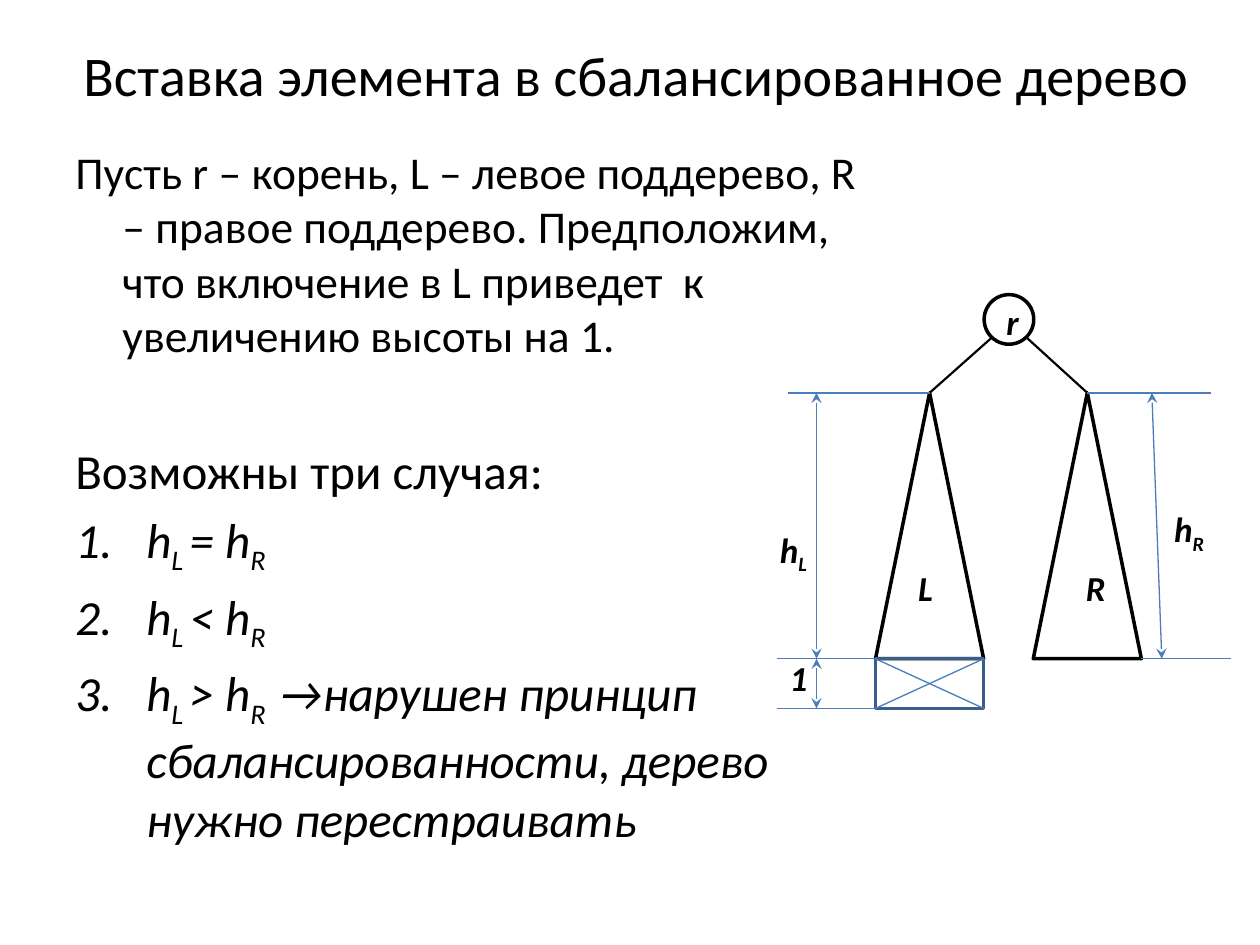
from pptx import Presentation
from pptx.dml.color import RGBColor
from pptx.enum.shapes import MSO_CONNECTOR, MSO_SHAPE
from pptx.enum.text import MSO_ANCHOR, MSO_AUTO_SIZE, PP_ALIGN
from pptx.oxml.ns import qn
from pptx.util import Cm, Pt
from lxml.etree import SubElement

COLORS = {"ink": "000000", "added": "395E89", "guide": "4A7DBA"}
LABEL = {"size": Pt(20), "bold": True, "italic": True}
CASE = {"size": Pt(28), "italic": True}

TREE_WIDTH, APEX_Y, BASE_Y, ADDED_HEIGHT = 2.18, 7.92, 13.28, 1.0
LEFT_X, RIGHT_X = 17.65, 20.83
LEFT_END, RIGHT_END = LEFT_X + TREE_WIDTH, RIGHT_X + TREE_WIDTH
LEFT_APEX, RIGHT_APEX = LEFT_X + TREE_WIDTH / 2, RIGHT_X + TREE_WIDTH / 2
ADDED_Y = BASE_Y + ADDED_HEIGHT
HEIGHT_X = 16.46


def add_runs(paragraph, pieces, style):
    """Add (text, is_subscript) pieces to a paragraph in one style."""
    for text, is_subscript in pieces:
        run = paragraph.add_run()
        run.text = text
        run.font.name = "Calibri"
        run.font.color.rgb = RGBColor.from_string(COLORS["ink"])
        for attribute, value in style.items():
            setattr(run.font, attribute, value)
        if is_subscript:
            run._r.get_or_add_rPr().set("baseline", "-25000")


def add_frame(slide, left, top, width, height, **settings):
    """Add a text box and return its frame with the given settings."""
    frame = slide.shapes.add_textbox(Cm(left), Cm(top), Cm(width), Cm(height)).text_frame
    for attribute, value in ({"word_wrap": True} | settings).items():
        setattr(frame, attribute, value)
    return frame


def add_label(slide, left, top, width, text, subscript=""):
    """Add a diagram label with an optional subscript."""
    frame = add_frame(slide, left, top, width, 1.12,
                      word_wrap=False, auto_size=MSO_AUTO_SIZE.SHAPE_TO_FIT_TEXT)
    pieces = [(text, False)] + ([(subscript, True)] if subscript else [])
    add_runs(frame.paragraphs[0], pieces, LABEL)


def add_outline(slide, preset, left, top, width, height, color="ink"):
    """Add an unfilled preset shape."""
    shape = slide.shapes.add_shape(preset, Cm(left), Cm(top), Cm(width), Cm(height))
    shape.shadow.inherit = False
    shape.fill.background()
    shape.line.color.rgb = RGBColor.from_string(COLORS[color])
    shape.line.width = Pt(2)


def add_line(slide, start, end, color="guide", weight=0.75, arrows=False):
    """Add a straight line, with arrowheads on both ends if asked."""
    line = slide.shapes.add_connector(MSO_CONNECTOR.STRAIGHT, *map(Cm, start + end))
    line.line.color.rgb = RGBColor.from_string(COLORS[color])
    line.line.width = Pt(weight)
    if arrows:
        for end_tag in ("a:headEnd", "a:tailEnd"):
            SubElement(line.line._get_or_add_ln(), qn(end_tag), type="stealth")
    SubElement(line._element.spPr, qn("a:effectLst"))


def add_paragraph(paragraph, pieces, style, indent, before=0, numbered=False):
    """Fill a paragraph with a hanging indent and an optional number."""
    add_runs(paragraph, pieces, style)
    paragraph.space_before = Pt(before)
    properties = paragraph._p.get_or_add_pPr()
    properties.set("marL", str(Cm(indent)))
    properties.set("indent", str(-Cm(indent)))
    if numbered:
        bullet_color = SubElement(properties, qn("a:buClr"))
        SubElement(bullet_color, qn("a:srgbClr"), val=COLORS["ink"])
        SubElement(properties, qn("a:buFont"), typeface="+mj-lt")
        SubElement(properties, qn("a:buAutoNum"), type="arabicPeriod")


def add_text(slide):
    """Add the title, the premise and the three cases."""
    title = add_frame(slide, 1.4, 0.58, 22.86, 1.83, vertical_anchor=MSO_ANCHOR.MIDDLE)
    title.paragraphs[0].alignment = PP_ALIGN.CENTER
    add_runs(title.paragraphs[0],
             [("Вставка элемента в сбалансированное дерево", False)], {"size": Pt(32)})

    body = add_frame(slide, 1.27, 2.77, 16.38, 14.25)
    premise = ("Пусть r – корень, L – левое поддерево, R – правое поддерево. "
               "Предположим, что включение в L приведет  к увеличению высоты на 1.")
    add_paragraph(body.paragraphs[0], [(premise, False)], {"size": Pt(26)}, 0.95)
    add_paragraph(body.add_paragraph(), [("Возможны три случая:", False)],
                  {"size": Pt(28)}, 0.95, before=45)
    outcome = "→нарушен принцип сбалансированности, дерево нужно перестраивать"
    for sign, right, result in (("=", "R", ""), ("<", "R", ""), (">", "R  ", outcome)):
        pieces = [("h", False), ("L ", True), (f"{sign} h", False), (right, True)]
        if result:
            pieces.append((result, False))
        add_paragraph(body.add_paragraph(), pieces, CASE, 1.43, before=5.6, numbered=True)


def add_tree(slide):
    """Add the root, its subtrees and the added level."""
    add_outline(slide, MSO_SHAPE.OVAL, 19.84, 5.94, 1, 1)
    for subtree_x in (LEFT_X, RIGHT_X):
        add_outline(slide, MSO_SHAPE.ISOSCELES_TRIANGLE, subtree_x, APEX_Y,
                    TREE_WIDTH, BASE_Y - APEX_Y)
    for root_x, apex_x in ((19.99, LEFT_APEX), (20.7, RIGHT_APEX)):
        add_line(slide, (root_x, 6.81), (apex_x, APEX_Y), "ink", 1.25)
    add_outline(slide, MSO_SHAPE.RECTANGLE, LEFT_X, BASE_Y, TREE_WIDTH, ADDED_HEIGHT, "added")
    for start_x, end_x in ((LEFT_X, LEFT_END), (LEFT_END, LEFT_X)):
        add_line(slide, (start_x, BASE_Y), (end_x, ADDED_Y))


def add_dimensions(slide):
    """Add the level guides and the height arrows."""
    for start_x, end_x, level in (
        (LEFT_APEX, 15.88, APEX_Y), (LEFT_X, 15.67, BASE_Y), (LEFT_X, 15.67, ADDED_Y),
        (RIGHT_APEX, 24.41, APEX_Y), (RIGHT_END, 24.82, BASE_Y),
    ):
        add_line(slide, (start_x, level), (end_x, level))
    for start, end in (
        ((HEIGHT_X, APEX_Y), (HEIGHT_X, BASE_Y)),
        ((HEIGHT_X, BASE_Y), (HEIGHT_X, ADDED_Y)),
        ((23.22, APEX_Y), (23.42, BASE_Y)),
    ):
        add_line(slide, start, end, arrows=True)


def main():
    """Build the slide and save it."""
    deck = Presentation()
    deck.slide_width, deck.slide_height = Cm(25.4), Cm(19.05)
    slide = deck.slides.add_slide(deck.slide_layouts[6])
    add_text(slide)
    add_tree(slide)
    add_dimensions(slide)
    for label in (
        (20.04, 5.94, 0.76, "r"), (18.26, 11.3, 0.81, "L"), (21.64, 11.3, 0.91, "R"),
        (15.47, 10.52, 1.09, "h", "L"), (15.67, 13.11, 0.86, "1"),
        (23.42, 10.11, 1.14, "h", "R"),
    ):
        add_label(slide, *label)
    deck.save("out.pptx")


if __name__ == "__main__":
    main()
